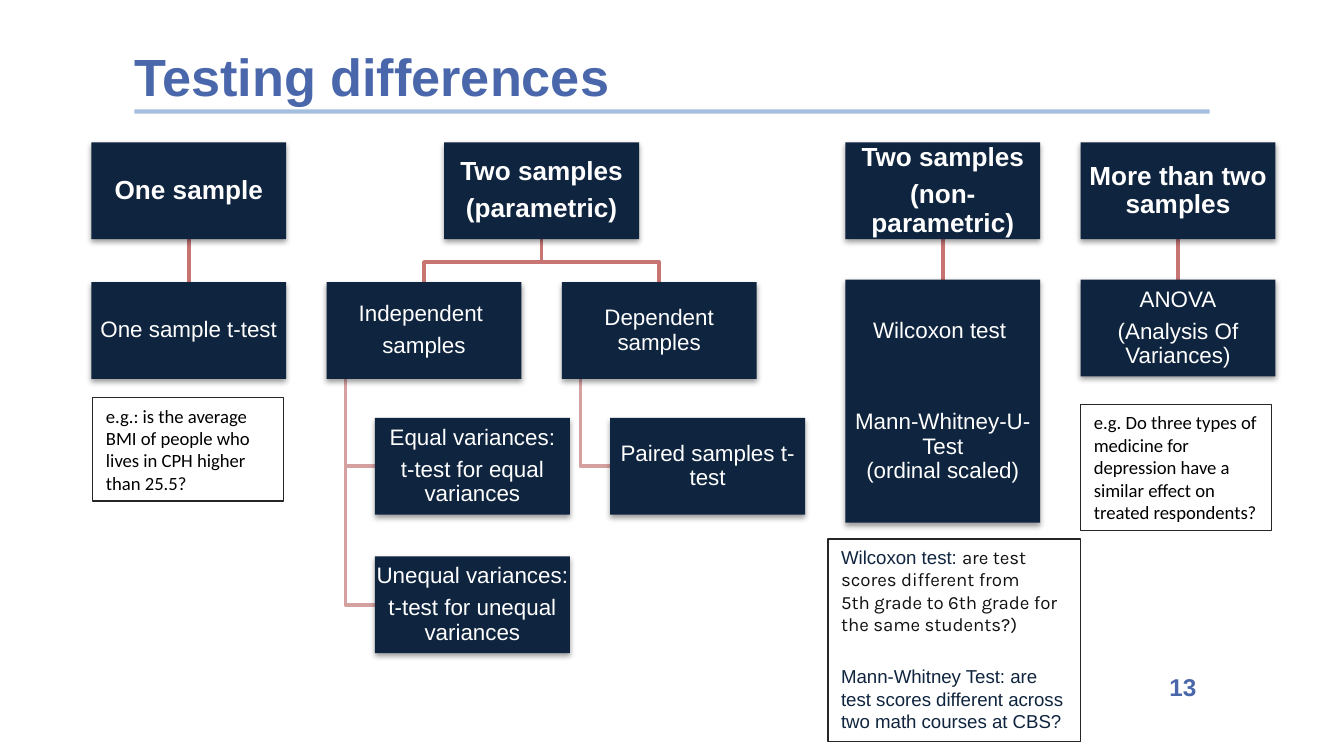
import copy
import pptx
import pptx.util
import pptx.dml.color
import pptx.enum.shapes
import pptx.enum.text
import pptx.oxml
import pptx.oxml.ns

Inches, Pt = pptx.util.Inches, pptx.util.Pt
ALIGN = pptx.enum.text.PP_ALIGN
ANCHOR = pptx.enum.text.MSO_ANCHOR
NAVY, BLUE, ROSE, PINK = "0F243E", "4967AA", "C77472", "D5A1A0"
HARD = chr(160)  # no-break space

# Card grid
WIDE, HIGH, STEP, DENT = 1.45, 0.72, 1.75, 0.36
ONE, IND = 0.68, 0.68 + STEP
DEP = IND + STEP
NON = DEP + DENT + STEP
MORE = NON + STEP
PAR = (IND + DEP) / 2
TOP, MID, LOW, END = 1.06, 2.1, 3.11, 4.14
TEST = 2.08

HEAD = {"size": Pt(14), "name": "Arial", "bold": True}
BODY = {"size": Pt(12), "name": "Arial", "bold": False}
NOTE = {"size": Pt(10), "name": "Calibri"}
ARIAL = {"size": Pt(10), "name": "Arial"}
KARLA = {"size": Pt(10), "name": "Karla"}


def rgb(code):
    return pptx.dml.color.RGBColor.from_string(code)


def apply(item, form):
    for key, val in form.items():
        setattr(item, key, val)


def style(run, form, hue):
    apply(run.font, form)
    run.font.color.rgb = rgb(hue)


def inset(frame, side, top):
    apply(frame, {"margin_left": Inches(side), "margin_right": Inches(side),
                  "margin_top": Inches(top), "margin_bottom": Inches(top),
                  "word_wrap": True})


def effect(shape):
    """Soft shadow straight below the shape."""
    shape.shadow.inherit = False
    glow = pptx.oxml.parse_xml(
        f'<a:outerShdw {pptx.oxml.ns.nsdecls("a")} blurRad="{Pt(3.1)}" '
        f'dist="{Pt(1.6)}" dir="5400000" rotWithShape="0">'
        '<a:srgbClr val="000000"><a:alpha val="38000"/></a:srgbClr>'
        '</a:outerShdw>')
    shape._element.spPr.find(pptx.oxml.ns.qn("a:effectLst")).append(glow)


def card(slide, left, top, lines, form=BODY, high=HIGH, gap=None):
    shape = slide.shapes.add_shape(
        pptx.enum.shapes.MSO_SHAPE.RECTANGLE,
        Inches(left), Inches(top), Inches(WIDE), Inches(high))
    shape.fill.solid()
    shape.fill.fore_color.rgb = rgb(NAVY)
    shape.line.fill.background()
    effect(shape)
    frame = shape.text_frame
    inset(frame, 0.01, 0.01)
    frame.vertical_anchor = ANCHOR.MIDDLE
    for num, line in enumerate(lines):
        para = frame.add_paragraph() if num else frame.paragraphs[0]
        para.text = line
        apply(para, {"alignment": ALIGN.CENTER, "line_spacing": 0.9,
                     "space_after": Pt(gap or form["size"].pt * 0.35)})
        for run in para.runs:
            style(run, form, "FFFFFF")
        # Line breaks take the size of the text
        for mark in para._p.findall(pptx.oxml.ns.qn("a:br")):
            mark.append(copy.deepcopy(para.runs[0]._r.rPr))


def note(slide, left, top, wide, high, paras, gap=0):
    box = slide.shapes.add_textbox(
        Inches(left), Inches(top), Inches(wide), Inches(high))
    box.line.color.rgb = rgb("262626")
    box.line.width = Pt(0.75)
    frame = box.text_frame
    inset(frame, 0.1, 0.05)
    for num, runs in enumerate(paras):
        para = frame.add_paragraph() if num else frame.paragraphs[0]
        if num:
            para.space_before = Pt(gap)
        for text, form, hue in runs:
            run = para.add_run()
            run.text = text
            style(run, form, hue)


def link(slide, start, end, hue=ROSE, width=2):
    line = slide.shapes.add_connector(
        pptx.enum.shapes.MSO_CONNECTOR.STRAIGHT, *map(Inches, start + end))
    line.line.color.rgb = rgb(hue)
    line.line.width = Pt(width)
    line._element.spPr.append(
        pptx.oxml.parse_xml(f'<a:effectLst {pptx.oxml.ns.nsdecls("a")}/>'))
    return line


def bend(slide, spots, hue):
    spots = [(Inches(x), Inches(y)) for x, y in spots]
    pen = slide.shapes.build_freeform(*spots[0])
    pen.add_line_segments(spots[1:], close=False)
    shape = pen.convert_to_shape()
    shape.fill.background()
    shape.line.color.rgb = rgb(hue)
    shape.line.width = Pt(2)
    shape.shadow.inherit = False


def title(slide, text):
    head = slide.shapes.title
    apply(head, {"left": Inches(1), "top": Inches(0.33),
                 "width": Inches(7.99), "height": Inches(0.71)})
    frame = head.text_frame
    inset(frame, 0, 0)
    apply(frame, {"vertical_anchor": ANCHOR.TOP,
                  "auto_size": pptx.enum.text.MSO_AUTO_SIZE.NONE})
    frame.text = text
    frame.paragraphs[0].alignment = ALIGN.LEFT
    style(frame.paragraphs[0].runs[0],
          {"size": Pt(28), "name": "Arial", "bold": True}, BLUE)
    # Half-clear rule under the title
    rule = link(slide, (1, 0.83), (9, 0.83), "4B7EBC", 2.25)
    tint = rule._element.spPr.find(".//" + pptx.oxml.ns.qn("a:srgbClr"))
    tint.append(pptx.oxml.parse_xml(
        f'<a:alpha {pptx.oxml.ns.nsdecls("a")} val="50000"/>'))


def page(slide, text):
    box = slide.shapes.add_textbox(
        Inches(4.86), Inches(4.95), Inches(4.14), Inches(0.32))
    inset(box.text_frame, 0.1, 0.05)
    box.text_frame.text = text
    para = box.text_frame.paragraphs[0]
    para.alignment = ALIGN.RIGHT
    style(para.runs[0], {"size": Pt(13), "name": "Arial", "bold": True}, BLUE)


def main():
    deck = pptx.Presentation()
    deck.slide_width = Inches(10)
    deck.slide_height = Inches(10 * 9 / 16)
    slide = deck.slides.add_slide(deck.slide_layouts[5])
    title(slide, "Testing differences")
    page(slide, "13")

    # Tree lines
    half, foot = WIDE / 2, TOP + HIGH
    for left, top in ((ONE, MID), (NON, TEST), (MORE, TEST)):
        link(slide, (left + half, foot), (left + half, top))
    for left in (IND, DEP):
        bend(slide, [(PAR + half, foot), (PAR + half, 1.95),
                     (left + half, 1.95), (left + half, MID)], ROSE)
    for left, top in ((IND, LOW), (IND, END), (DEP, LOW)):
        stem, row = left + 0.14, top + HIGH / 2
        bend(slide, [(stem, MID + HIGH), (stem, row), (left + DENT, row)], PINK)

    # Heads
    for left, lines in ((ONE, ["One sample"]),
                        (PAR, ["Two samples", "(parametric)"]),
                        (NON, ["Two samples", "(non-parametric)"]),
                        (MORE, ["More than two samples"])):
        card(slide, left, TOP, lines, HEAD)

    # Tests
    for left, top, lines in (
            (ONE, MID, ["One sample t-test"]),
            (IND, MID, ["Independent ", "samples"]),
            (IND + DENT, LOW, ["Equal variances:", "t-test for equal variances"]),
            (IND + DENT, END, ["Unequal variances:", "t-test for unequal variances"]),
            (DEP, MID, ["Dependent samples"]),
            (DEP + DENT, LOW, ["Paired samples t-test"]),
            (MORE, TEST, ["ANOVA", "(Analysis Of Variances)"])):
        card(slide, left, top, lines)
    card(slide, NON, TEST, ["Wilcoxon test ", "Mann-Whitney-U-Test\n(ordinal scaled)"],
         high=1.81, gap=36)

    # Examples
    note(slide, 0.69, 2.96, 1.42, 0.77, [[(
        "e.g.: is the average BMI of people who lives in CPH higher than 25.5?",
        NOTE, "000000")]])
    note(slide, 6.16, 4.01, 1.88, 1.51, [
        [("Wilcoxon test: ", ARIAL, NAVY),
         (f"are test scores different from 5th{HARD}grade to 6th{HARD}grade "
          "for the same students?)", KARLA, "111111")],
        [("Mann-Whitney Test: are test scores different across two math "
          "courses at CBS?", ARIAL, NAVY)]], gap=16)
    note(slide, 8.04, 3.01, 1.42, 0.94, [[(
        "e.g. Do three types of medicine for depression have a similar effect "
        "on treated respondents?", NOTE, "000000")]])
    deck.save("out.pptx")


if __name__ == "__main__":
    main()
